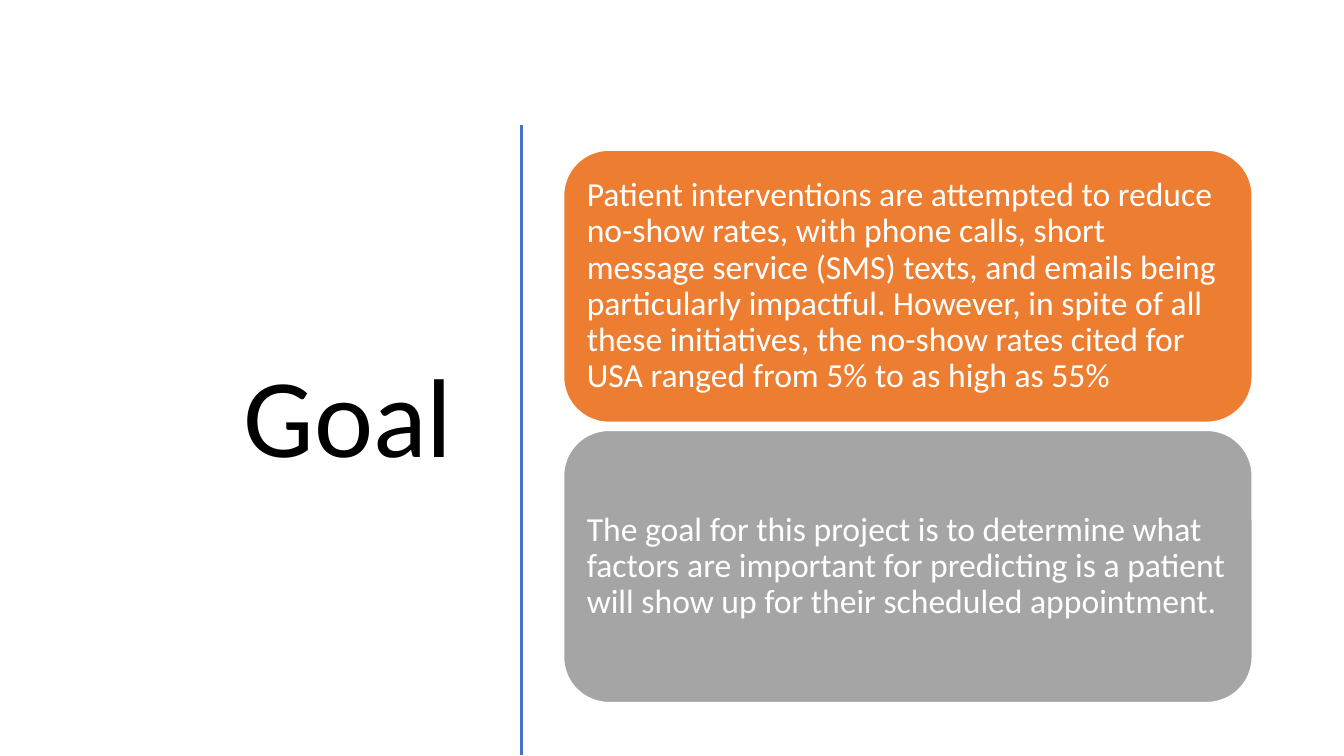
import pptx
import pptx.util
import pptx.dml.color
import pptx.enum.shapes
import pptx.enum.text
import lxml.etree

Inches = pptx.util.Inches
Pt = pptx.util.Pt
Align = pptx.enum.text.PP_ALIGN


def paint(hue):
    return pptx.dml.color.RGBColor.from_string(hue)


def write(shape, words, size, hue, align, after):
    frame = shape.text_frame
    frame.word_wrap = True
    frame.vertical_anchor = pptx.enum.text.MSO_ANCHOR.MIDDLE
    para = frame.paragraphs[0]
    para.alignment = align
    para.line_spacing = 0.9
    para.space_after = Pt(after)
    run = para.add_run()
    run.text = words
    run.font.name = "Calibri"
    run.font.size = Pt(size)
    run.font.color.rgb = paint(hue)


deck = pptx.Presentation()
deck.slide_width = Inches(13.33)
deck.slide_height = Inches(7.5)
slide = deck.slides.add_slide(deck.slide_layouts[6])

title = slide.shapes.add_textbox(Inches(1.9), Inches(1.16), Inches(2.94), Inches(6.04))
write(title, "Goal ", 80, "000000", Align.RIGHT, 6)

rule = slide.shapes.add_connector(
    pptx.enum.shapes.MSO_CONNECTOR.STRAIGHT,
    Inches(5.17), Inches(1.24), Inches(5.17), Inches(7.49))
rule.line.color.rgb = paint("4472C4")
rule.line.width = Pt(2)
props = rule._element.spPr
lxml.etree.SubElement(props, pptx.oxml.ns.qn("a:effectLst"))

cards = [
    ("ED7D31", "Patient interventions are attempted to reduce no-show rates, "
     "with phone calls, short message service (SMS) texts, and emails being "
     "particularly impactful. However, in spite of all these initiatives, "
     "the no-show rates cited for USA ranged from 5% to as high as 55%"),
    ("A5A5A5", "The goal for this project is to determine what factors are "
     "important for predicting is a patient will show up for their "
     "scheduled appointment."),
]
for row, (hue, words) in enumerate(cards):
    card = slide.shapes.add_shape(
        pptx.enum.shapes.MSO_SHAPE.ROUNDED_RECTANGLE,
        Inches(5.59), Inches(1.49 + 2.78 * row), Inches(6.83), Inches(2.7))
    card.shadow.inherit = False
    card.fill.solid()
    card.fill.fore_color.rgb = paint(hue)
    card.line.color.rgb = paint("FFFFFF")
    card.line.width = Pt(1)
    frame = card.text_frame
    frame.margin_left = frame.margin_right = Inches(0.1)
    frame.margin_top = frame.margin_bottom = Inches(0.1)
    write(card, words, 24, "FFFFFF", Align.LEFT, 8.4)

deck.save("out.pptx")
